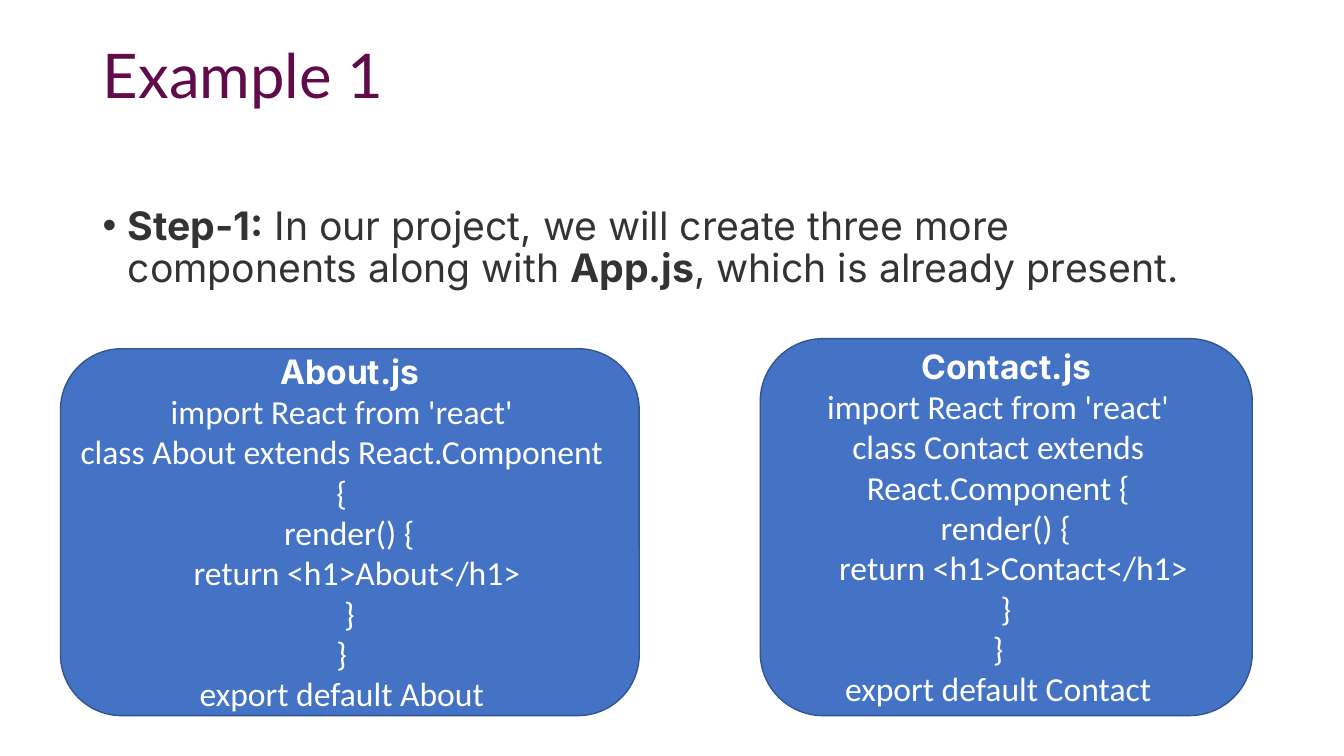
from dataclasses import dataclass

from lxml.etree import SubElement
from pptx import Presentation
from pptx.dml.color import RGBColor
from pptx.enum.shapes import MSO_SHAPE as Shape
from pptx.enum.text import MSO_ANCHOR as Anchor, MSO_AUTO_SIZE as AutoSize, PP_ALIGN as Align
from pptx.oxml.ns import qn
from pptx.util import Inches, Pt


@dataclass(frozen=True)
class Theme:
    title: dict
    body: dict
    heading: dict
    code: dict
    fill: RGBColor
    outline: RGBColor


def text_style(name, size, color, bold=False):
    return {"name": name, "size": Pt(size), "bold": bold, "color": RGBColor.from_string(color)}


THEME = Theme(
    title=text_style("Lato", 44, "610B4B"),
    body=text_style("Inter", 28, "333333"),
    heading=text_style("Inter", 24, "FFFFFF", bold=True),
    code=text_style("Calibri", 24, "FFFFFF"),
    fill=RGBColor.from_string("4472C4"),
    outline=RGBColor.from_string("325491"),
)


def set_attributes(target, values):
    for name, value in values.items():
        setattr(target, name, value)


def box(left, top, width, height):
    sides = ("left", "top", "width", "height")
    return dict(zip(sides, map(Inches, (left, top, width, height))))


class SlideBuilder:
    def __init__(self, presentation, theme):
        self.theme = theme
        self.slide = presentation.slides.add_slide(presentation.slide_layouts[5])

    def add_run(self, paragraph, text, style, **changes):
        run = paragraph.add_run()
        run.text = text
        values = {**style, **changes}
        run.font.color.rgb = values.pop("color")
        set_attributes(run.font, values)

    def title(self, text, place):
        shape = self.slide.shapes.title
        set_attributes(shape, place)
        set_attributes(shape.text_frame, {
            "word_wrap": True, "auto_size": AutoSize.NONE, "vertical_anchor": Anchor.TOP})
        paragraph = shape.text_frame.paragraphs[0]
        set_attributes(paragraph, {"alignment": Align.LEFT, "line_spacing": 0.9})
        self.add_run(paragraph, text, self.theme.title)

    def bullet(self, parts, place):
        """Add one bulleted paragraph from (text, bold) parts."""
        frame = self.slide.shapes.add_textbox(**place).text_frame
        frame.word_wrap = True
        paragraph = frame.paragraphs[0]
        paragraph.line_spacing = 0.9
        properties = paragraph._p.get_or_add_pPr()
        properties.set("marL", str(Inches(0.25)))
        properties.set("indent", str(Inches(-0.25)))
        SubElement(properties, qn("a:buFont")).set("typeface", "Arial")
        SubElement(properties, qn("a:buChar")).set("char", "•")
        for text, bold in parts:
            self.add_run(paragraph, text, self.theme.body, bold=bold)

    def code_card(self, component, place):
        shape = self.slide.shapes.add_shape(Shape.ROUNDED_RECTANGLE, **place)
        shape.shadow.inherit = False
        shape.fill.solid()
        shape.fill.fore_color.rgb = self.theme.fill
        shape.line.color.rgb = self.theme.outline
        shape.line.width = Pt(1)
        frame = shape.text_frame
        # Code sits slightly left of centre; the heading's margin restores its centring.
        set_attributes(frame, {
            "word_wrap": True, "vertical_anchor": Anchor.MIDDLE,
            "margin_left": Inches(0.02), "margin_right": Inches(0.18)})
        heading = frame.paragraphs[0]
        heading.alignment = Align.CENTER
        heading._p.get_or_add_pPr().set("marL", str(Inches(0.16)))
        self.add_run(heading, f"{component}.js", self.theme.heading)
        for line in component_code(component):
            paragraph = frame.add_paragraph()
            paragraph.alignment = Align.CENTER
            self.add_run(paragraph, line, self.theme.code)


def component_code(name):
    return (
        "import React from 'react'",
        f"class {name} extends React.Component {{",
        "  render() {",
        f"    return <h1>{name}</h1>",
        "  }",
        "}",
        f"export default {name}",
    )


def main():
    presentation = Presentation()
    set_attributes(presentation, {"slide_width": Inches(13.33), "slide_height": Inches(7.5)})
    builder = SlideBuilder(presentation, THEME)
    builder.title("Example 1", box(0.92, 0.4, 11.5, 1.45))
    builder.bullet((
        ("Step-1:", True),
        (" In our project, we will create three more components along with ", False),
        ("App.js", True),
        (", which is already present.", False),
    ), box(0.92, 2, 11.5, 4.76))
    builder.code_card("About", box(0.6, 3.46, 5.74, 3.64))
    builder.code_card("Contact", box(7.54, 3.36, 4.88, 3.74))
    presentation.save("out.pptx")


if __name__ == "__main__":
    main()
